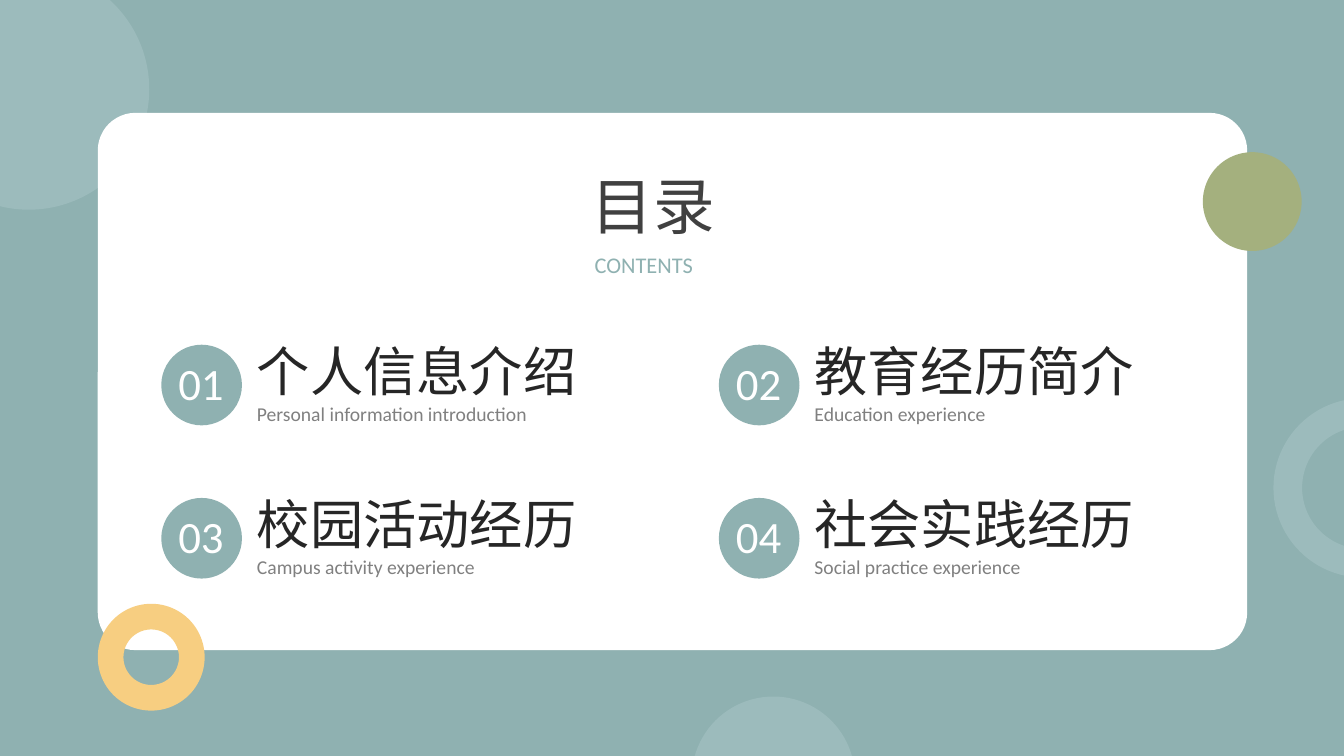
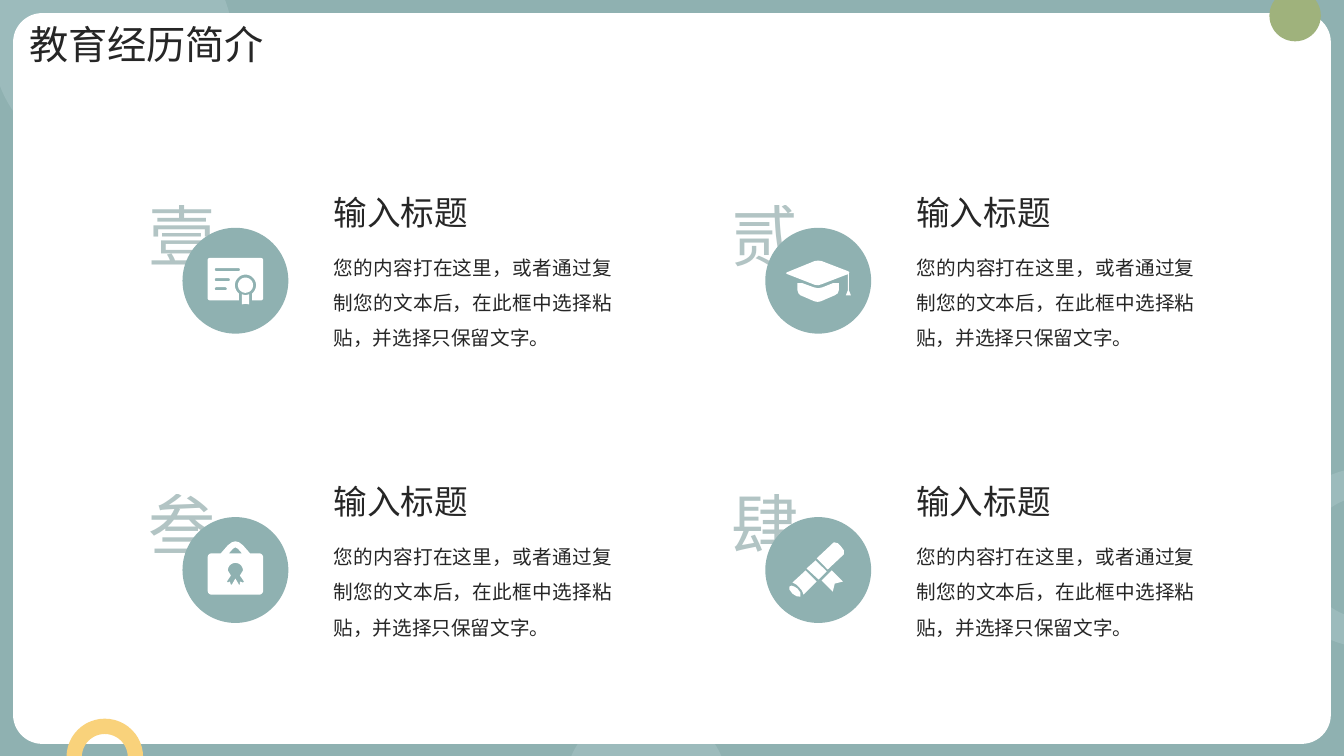
"""Build a contents slide and an education slide in one soft teal theme."""
from dataclasses import dataclass
from math import cos, radians, sin
from typing import NamedTuple

from lxml.etree import SubElement
from pptx import Presentation
from pptx.dml.color import RGBColor
from pptx.enum.shapes import MSO_SHAPE as Preset
from pptx.enum.text import MSO_AUTO_SIZE as AutoSize
from pptx.enum.text import PP_ALIGN as Align
from pptx.oxml.ns import qn
from pptx.shapes.shapetree import _BaseGroupShapes as Shapes
from pptx.util import Inches, Pt


@dataclass(frozen=True)
class Theme:
    font: str = "Calibri"
    teal: str = "8FB1B1"
    pale_teal: str = "9CBBBC"
    deep_teal: str = "406D6C"
    white: str = "FFFFFF"
    ink: str = "262626"
    heading: str = "404040"
    gray: str = "808080"
    olive: str = "A4B07E"
    leaf: str = "9FB27C"
    amber: str = "F7CE81"
    gold: str = "F9D27B"
    numeral_size: int = 48
    contents_size: int = 44
    chapter_size: int = 38
    number_size: int = 32
    title_size: int = 28
    item_size: int = 24
    subtitle_size: int = 16
    body_size: int = 14


THEME = Theme()
WIDTH, HEIGHT = 13.33, 7.5
Point = tuple[float, float]
Contour = list[Point]


class Box(NamedTuple):
    left: float
    top: float
    width: float
    height: float


class Figure(NamedTuple):
    preset: Preset
    box: Box
    color: str
    adjustment: float | None = None


class Style(NamedTuple):
    size: int
    color: str
    align: Align = Align.JUSTIFY
    line_spacing: float | None = None
    opacity: int | None = None


class Chapter(NamedTuple):
    number: str
    name: str
    english: str


class Topic(NamedTuple):
    numeral: str
    icon: list[Contour]


def circle(left: float, top: float, size: float, color: str) -> Figure:
    return Figure(Preset.OVAL, Box(left, top, size, size), color)


def ring(left: float, top: float, size: float, color: str, thickness: float) -> Figure:
    return Figure(Preset.DONUT, Box(left, top, size, size), color, thickness)


def panel(box: Box, color: str, rounding: float) -> Figure:
    return Figure(Preset.ROUNDED_RECTANGLE, box, color, rounding)


def arc(x: float, y: float, radius: float, start: int, end: int) -> Contour:
    steps = max(6, abs(end - start) // 8)
    angles = [radians(start + (end - start) * i / steps) for i in range(steps + 1)]
    return [(x + radius * cos(a), y + radius * sin(a)) for a in angles]


def rounded(left: float, top: float, right: float, bottom: float, radius: float) -> Contour:
    near_x, far_x = left + radius, right - radius
    near_y, far_y = top + radius, bottom - radius
    corners = [(near_x, near_y), (far_x, near_y), (far_x, far_y), (near_x, far_y)]
    return [point for i, (x, y) in enumerate(corners)
            for point in arc(x, y, radius, 180 + 90 * i, 270 + 90 * i)]


CERTIFICATE: list[Contour] = [
    arc(27, 32, 2, 180, 270) + arc(78, 32, 2, 270, 360) + arc(78, 70, 2, 0, 90)
    + [(69, 72)] + arc(62.5, 57, 10.5, 51, -231) + [(56, 72)] + arc(27, 70, 2, 90, 180),
    arc(62.5, 57, 7.5, 0, 360),
    [(59, 66), (62.5, 67), (66, 66), (66, 76), (62.5, 75.5), (59, 76)],
    *[rounded(32, top, right, top + 3, 1.5) for top, right in ((40, 57), (50, 47), (59, 44))],
]
CAP: list[Contour] = [
    [(32, 55), (37, 55), (48, 59), (52.5, 60), (57, 59), (67, 55), (73, 55), (73, 62),
     (72, 65), (69, 67), (55, 73), (52, 73.5), (49, 73), (35, 67), (33, 65), (32, 62)],
    [(49, 33), (52.5, 32.5), (56, 33), (82, 43), (83.5, 44), (83, 45), (83, 62), (85, 67),
     (80, 67), (82, 62), (82, 46), (56, 56), (52.5, 57), (49, 56.5), (22, 46),
     (20.5, 45), (22, 44)],
]
BRIEFCASE: list[Contour] = [
    rounded(25, 36, 80, 77, 4),
    [(38, 36), (45, 28), (49, 25), (52.5, 24), (56, 25), (60, 28), (67, 36),
     (59, 36), (55, 31.5), (52.5, 30), (50, 31.5), (46, 36)],
    arc(52.5, 53, 7.5, 180, 360)
    + [(57, 58), (61, 64), (60, 65), (57, 64), (57, 67), (56, 67), (52.5, 61),
       (49, 67), (48, 67), (47, 64), (45, 65), (44, 64), (48, 58)],
]
SCROLL: list[Contour] = [
    [(26, 68), (29, 69), (32, 71), (35, 75), (35, 79), (31, 78.5), (27, 76), (24, 72), (24, 69)],
    [(66, 53), (77, 64), (69, 66), (67, 74), (56, 63)],
    [(40, 53), (51, 64), (38, 77), (36.5, 73), (34, 70), (31, 67), (27, 65)],
    [(50, 43), (61, 54), (53, 62), (41, 51)],
    [(68, 25), (72, 26), (75, 29), (78, 33), (78, 37), (62, 52), (51, 41), (67, 26)],
]

CHAPTERS = [
    Chapter("01", "个人信息介绍", "Personal information introduction"),
    Chapter("02", "教育经历简介", "Education experience"),
    Chapter("03", "校园活动经历", "Campus activity experience"),
    Chapter("04", "社会实践经历", "Social practice experience"),
]
TOPICS = [Topic("壹", CERTIFICATE), Topic("贰", CAP), Topic("叁", BRIEFCASE), Topic("肆", SCROLL)]
TOPIC_TITLE = "输入标题"
TOPIC_BODY = "您的内容打在这里，或者通过复制您的文本后，在此框中选择粘贴，并选择只保留文字。"


def paint(shape, color: str) -> None:
    shape.shadow.inherit = False
    shape.fill.solid()
    shape.fill.fore_color.rgb = RGBColor.from_string(color)
    shape.line.fill.background()


def add_figure(shapes: Shapes, figure: Figure) -> None:
    shape = shapes.add_shape(figure.preset, *map(Inches, figure.box))
    paint(shape, figure.color)
    if figure.adjustment is not None:
        shape.adjustments[0] = figure.adjustment


def add_text(shapes: Shapes, box: Box, text: str, style: Style) -> None:
    frame = shapes.add_textbox(*map(Inches, box)).text_frame
    frame.word_wrap = True
    frame.auto_size = AutoSize.SHAPE_TO_FIT_TEXT
    frame.text = text
    paragraph = frame.paragraphs[0]
    paragraph.alignment = style.align
    paragraph.line_spacing = style.line_spacing
    run = paragraph.runs[0]
    run.font.name = THEME.font
    run.font.size = Pt(style.size)
    run.font.color.rgb = RGBColor.from_string(style.color)
    properties = run.font._element
    SubElement(properties, qn("a:ea")).set("typeface", THEME.font)
    if style.opacity is not None:
        color = properties.find(".//" + qn("a:srgbClr"))
        SubElement(color, qn("a:alpha")).set("val", str(style.opacity * 1000))


def add_icon(shapes: Shapes, left: float, top: float, contours: list[Contour]) -> None:
    scaled = [[(x * 10, y * 10) for x, y in contour] for contour in contours]
    builder = shapes.build_freeform(*scaled[0][0], scale=Inches(1) / 1000)
    for index, contour in enumerate(scaled):
        if index:
            builder.move_to(*contour[0])
        builder.add_line_segments(contour[1:], close=True)
    paint(builder.convert_to_shape(Inches(left), Inches(top)), THEME.white)


def add_slide(presentation, figures: list[Figure]) -> Shapes:
    shapes = presentation.slides.add_slide(presentation.slide_layouts[6]).shapes
    add_figure(shapes, panel(Box(0, 0, WIDTH, HEIGHT), THEME.teal, 0))
    for figure in figures:
        add_figure(shapes, figure)
    return shapes


def grid(index: int, origin: Point, step: Point) -> Point:
    row, column = divmod(index, 2)
    return origin[0] + column * step[0], origin[1] + row * step[1]


def add_chapter(shapes: Shapes, left: float, top: float, chapter: Chapter) -> None:
    add_figure(shapes, circle(left, top, 0.8, THEME.teal))
    add_text(shapes, Box(left + 0.07, top + 0.06, 0.69, 0.64), chapter.number,
             Style(THEME.number_size, THEME.white))
    add_text(shapes, Box(left + 0.85, top - 0.11, 3.73, 0.74), chapter.name,
             Style(THEME.chapter_size, THEME.ink))
    add_text(shapes, Box(left + 0.85, top + 0.52, 3.73, 0.34), chapter.english,
             Style(THEME.body_size, THEME.gray))


def add_topic(shapes: Shapes, left: float, top: float, topic: Topic) -> None:
    add_text(shapes, Box(left, top, 0.95, 0.91), topic.numeral,
             Style(THEME.numeral_size, THEME.deep_teal, Align.CENTER, opacity=40))
    add_figure(shapes, circle(left + 0.48, top + 0.38, 1.05, THEME.teal))
    add_icon(shapes, left + 0.48, top + 0.38, topic.icon)
    add_text(shapes, Box(left + 1.88, top - 0.03, 1.88, 0.5), TOPIC_TITLE,
             Style(THEME.item_size, THEME.ink))
    add_text(shapes, Box(left + 1.88, top + 0.49, 2.96, 1.16), TOPIC_BODY,
             Style(THEME.body_size, THEME.ink, line_spacing=1.5))


def build_contents(presentation) -> None:
    shapes = add_slide(presentation, [
        circle(-0.91, -0.31, 2.39, THEME.pale_teal),
        panel(Box(0.97, 1.12, 11.4, 5.33), THEME.white, 0.07),
        circle(11.93, 1.51, 0.98, THEME.olive),
        ring(0.97, 5.99, 1.06, THEME.amber, 0.24),
        circle(6.86, 6.91, 1.62, THEME.pale_teal),
        ring(12.63, 3.95, 1.78, THEME.pale_teal, 0.16),
    ])
    add_text(shapes, Box(5.77, 1.62, 1.76, 0.84), "目录",
             Style(THEME.contents_size, THEME.heading))
    add_text(shapes, Box(5.8, 2.44, 1.65, 0.37), "CONTENTS",
             Style(THEME.subtitle_size, THEME.teal))
    for index, chapter in enumerate(CHAPTERS):
        add_chapter(shapes, *grid(index, (1.6, 3.42), (5.53, 1.52)), chapter)


def build_education(presentation) -> None:
    shapes = add_slide(presentation, [
        circle(-0.08, -0.77, 2.39, THEME.pale_teal),
        circle(5.6, 7.01, 1.62, THEME.pale_teal),
        ring(12.66, 4.64, 1.78, THEME.pale_teal, 0.16),
        panel(Box(0.13, 0.13, 13.07, 7.25), THEME.white, 0.04),
        circle(12.59, -0.1, 0.51, THEME.leaf),
        ring(0.66, 7.13, 0.76, THEME.gold, 0.2),
    ])
    add_text(shapes, Box(0.19, 0.15, 2.96, 0.57), CHAPTERS[1].name,
             Style(THEME.title_size, THEME.ink))
    for index, topic in enumerate(TOPICS):
        group = shapes.add_group_shape()
        add_topic(group.shapes, *grid(index, (1.33, 1.88), (5.78, 2.87)), topic)


def main() -> None:
    presentation = Presentation()
    presentation.slide_width = Inches(WIDTH)
    presentation.slide_height = Inches(HEIGHT)
    build_contents(presentation)
    build_education(presentation)
    presentation.save("out.pptx")


if __name__ == "__main__":
    main()
